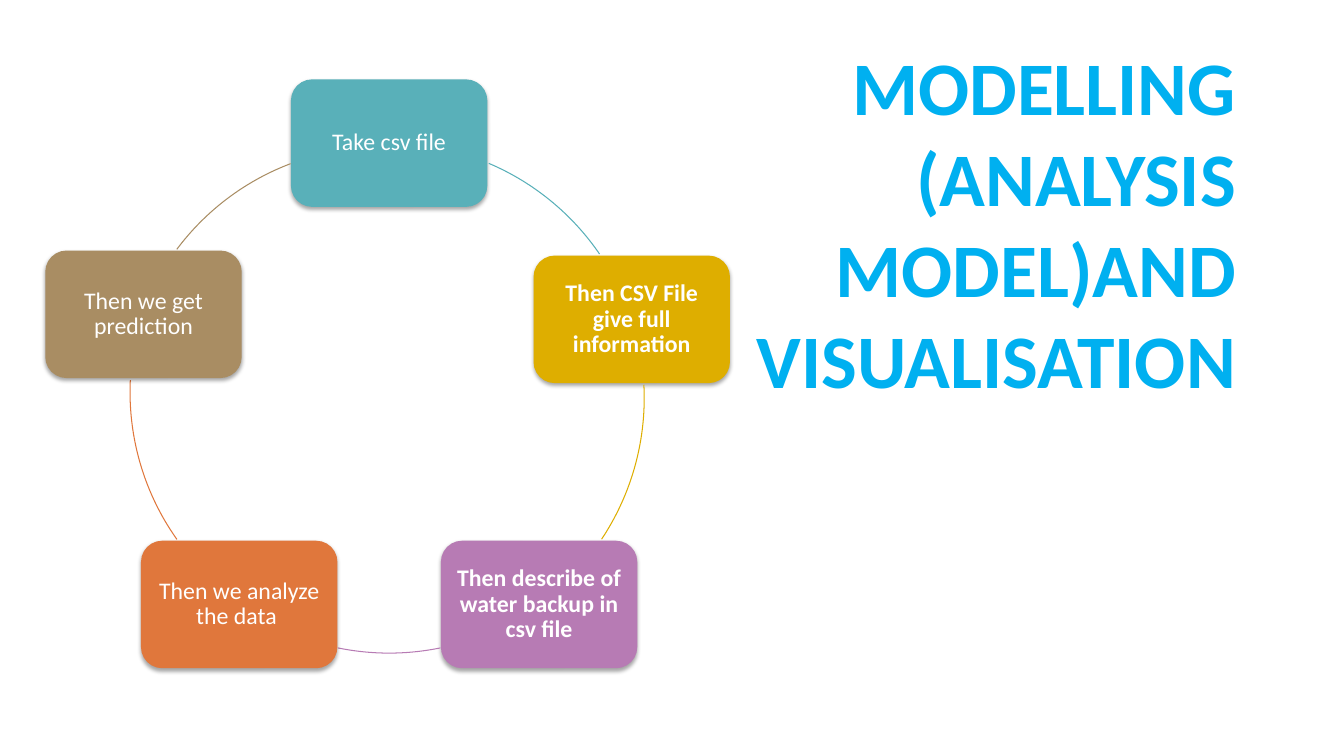
from dataclasses import dataclass
from math import cos, radians, sin

from lxml.etree import SubElement
from pptx import Presentation
from pptx.dml.color import RGBColor
from pptx.enum.shapes import MSO_SHAPE as Shape
from pptx.enum.text import MSO_ANCHOR as Anchor, MSO_AUTO_SIZE as AutoSize, PP_ALIGN as Align
from pptx.oxml.ns import qn
from pptx.util import Inches, Pt

WIDTH, HEIGHT = 13.33, 7.5


@dataclass(frozen=True)
class Theme:
    """Colours, font and type sizes of the slide."""
    font: str = "Calibri"
    title_color: str = "00B0F0"
    step_color: str = "FFFFFF"
    shadow_color: str = "000000"
    title_size: float = 54
    step_size: float = 17
    arc_width: float = 0.75


@dataclass(frozen=True)
class Step:
    """A stage of the cycle and the arc that leads on from it."""
    text: str
    color: str
    arc_start: float
    arc_end: float
    bold: bool = False
    box_shift: tuple = (0, 0)
    arc_shift: tuple = (0, 0)


THEME = Theme()
TITLE = "MODELLING (ANALYSIS MODEL)AND VISUALISATION"
STEPS = (
    Step("Take csv file", "59B0B9", 293, 325.6),
    Step("Then CSV File give full information", "DEAE00", 357, 33.6, bold=True),
    Step("Then describe of water backup in csv file", "B77BB4", 78.4, 101.6, bold=True),
    Step("Then we analyze the data ", "E0773C", 144.7, 182.7, arc_shift=(-0.04, -0.06)),
    Step("Then we get prediction", "A98D63", 216.8, 249.2,
         box_shift=(-0.03, -0.05), arc_shift=(-0.08, 0.04)),
)


def write_text(frame, text, *, size, color, align, bold=False, inset=(0.1, 0.05), spacing=1.0):
    """Write one formatted paragraph, centred vertically in a text frame."""
    frame.word_wrap = True
    frame.auto_size = AutoSize.NONE
    frame.vertical_anchor = Anchor.MIDDLE
    frame.margin_left = frame.margin_right = Inches(inset[0])
    frame.margin_top = frame.margin_bottom = Inches(inset[1])
    paragraph = frame.paragraphs[0]
    paragraph.alignment = align
    paragraph.line_spacing = spacing
    run = paragraph.add_run()
    run.text = text
    run.font.name = THEME.font
    run.font.size = Pt(size)
    run.font.bold = bold
    run.font.color.rgb = RGBColor.from_string(color)


def add_shadow(shape):
    """Give a shape a soft shadow straight below it."""
    shape.shadow.inherit = False
    effects = shape._element.spPr.find(qn("a:effectLst"))
    shadow = SubElement(effects, qn("a:outerShdw"), blurRad=str(Pt(3.1)), dist=str(Pt(1.8)),
                        dir="5400000", algn="ctr", rotWithShape="0")
    color = SubElement(shadow, qn("a:srgbClr"), val=THEME.shadow_color)
    SubElement(color, qn("a:alpha"), val="35000")


def add_centred(slide, kind, centre, width, height):
    """Add a preset shape around a centre point."""
    left, top = centre[0] - width / 2, centre[1] - height / 2
    return slide.shapes.add_shape(kind, Inches(left), Inches(top), Inches(width), Inches(height))


def add_arc(slide, step, centre, diameter):
    """Draw the part of the ring that follows a step."""
    arc = add_centred(slide, Shape.ARC, centre, diameter, diameter)
    arc.shadow.inherit = False
    arc.fill.background()
    arc.line.color.rgb = RGBColor.from_string(step.color)
    arc.line.width = Pt(THEME.arc_width)
    for index, angle in enumerate((step.arc_start, step.arc_end)):
        arc.adjustments[index] = angle * 0.6


def add_step(slide, step, centre, width, height):
    """Draw the rounded box of a step with its label."""
    box = add_centred(slide, Shape.ROUNDED_RECTANGLE, centre, width, height)
    box.fill.solid()
    box.fill.fore_color.rgb = RGBColor.from_string(step.color)
    box.line.fill.background()
    add_shadow(box)
    write_text(box.text_frame, step.text, size=THEME.step_size, color=THEME.step_color,
               align=Align.CENTER, bold=step.bold, inset=(0.07, 0.07), spacing=0.9)


def build_cycle(slide, left, top, diameter):
    """Spread the steps evenly around a ring, clockwise from the top."""
    radius = diameter / 2
    centre_x, centre_y = left + radius, top + radius
    box_width, box_height = diameter * 0.385, diameter * 0.25
    for index, step in enumerate(STEPS):
        angle = radians(index * 360 / len(STEPS) - 90)
        box_centre = (centre_x + radius * cos(angle) + step.box_shift[0],
                      centre_y + radius * sin(angle) + step.box_shift[1])
        arc_centre = (centre_x + step.arc_shift[0], centre_y + step.arc_shift[1])
        add_step(slide, step, box_centre, box_width, box_height)
        add_arc(slide, step, arc_centre, diameter)


def build_title(slide, left, top, width, height):
    """Place and fill the title placeholder."""
    title = slide.shapes.title
    title.left, title.top = Inches(left), Inches(top)
    title.width, title.height = Inches(width), Inches(height)
    write_text(title.text_frame, TITLE, size=THEME.title_size, color=THEME.title_color,
               align=Align.RIGHT, bold=True)


def main():
    """Build and save the presentation."""
    presentation = Presentation()
    presentation.slide_width, presentation.slide_height = Inches(WIDTH), Inches(HEIGHT)
    slide = presentation.slides.add_slide(presentation.slide_layouts[5])
    build_title(slide, left=6.22, top=0.5, width=6.14, height=3.4)
    build_cycle(slide, left=1.33, top=1.42, diameter=5.06)
    presentation.save("out.pptx")


if __name__ == "__main__":
    main()
